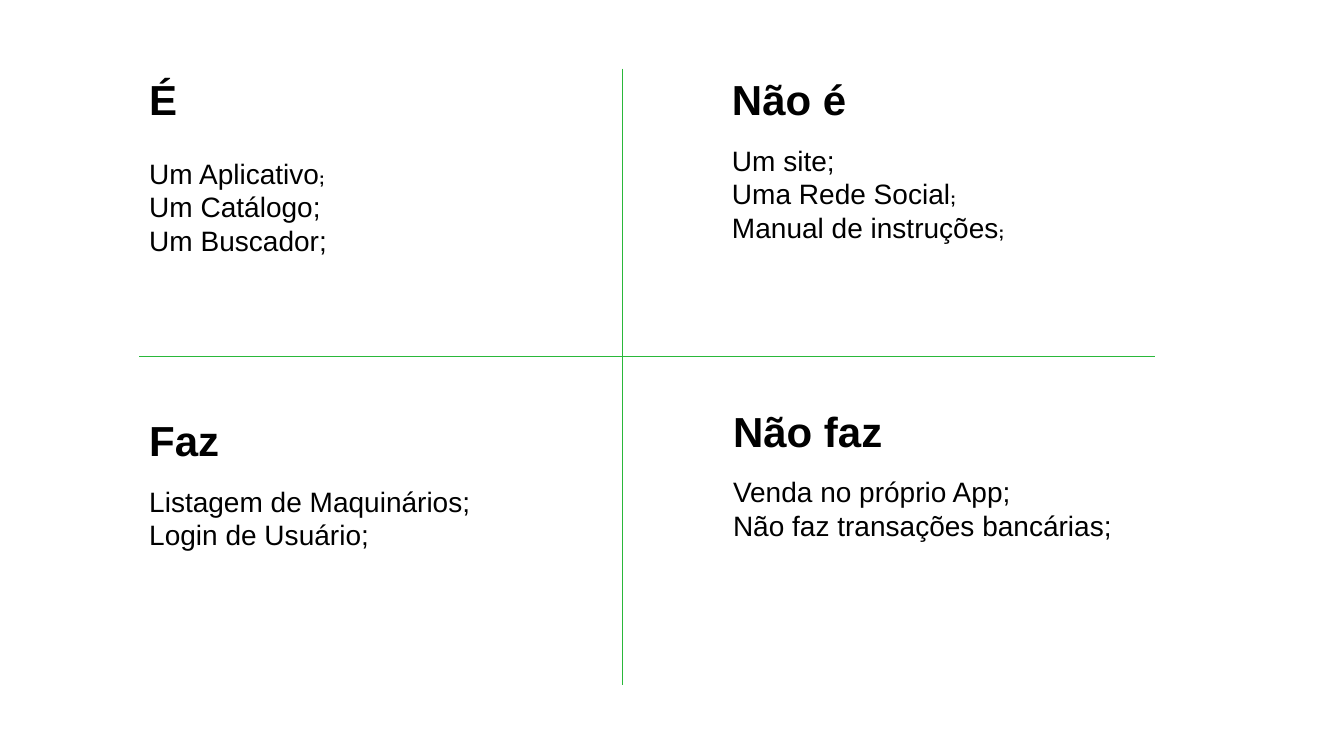
from dataclasses import dataclass

from pptx import Presentation, util as u
from pptx.dml.color import RGBColor
from pptx.enum import shapes, text
from pptx.oxml import xmlchemy

QUADRANTS = [
    {"heading": "É", "gap": 23, "left": 1.38, "top": 0.68,
     "items": [("Um Aplicativo", ";"), ("Um Catálogo;", ""), ("Um Buscador;", "")]},
    {"heading": "Não é", "gap": 13.8, "left": 7.16, "top": 0.68,
     "items": [("Um site;", ""), ("Uma Rede Social", ";"),
               ("Manual de instruções", ";")]},
    {"heading": "Faz", "gap": 13.8, "left": 1.38, "top": 4.06,
     "items": [("Listagem de Maquinários;", ""), ("Login de Usuário;", "")]},
    {"heading": "Não faz", "gap": 13.8, "left": 7.17, "top": 3.97,
     "items": [("Venda no próprio App;", ""),
               ("Não faz transações bancárias;", "")]},
]
AXES = [(6.17, 0.68, 6.17, 6.8), (1.38, 3.54, 11.46, 3.54)]
QUADRANT_SIZE = (4.51, 2.42)


@dataclass(frozen=True)
class Theme:
    font: str = "Arial"
    ink: RGBColor = RGBColor(0, 0, 0)
    axis: RGBColor = RGBColor(0x2A, 0xB8, 0x3A)
    axis_width: float = 0.5
    heading: int = 30
    item: int = 20
    mark: int = 12


THEME = Theme()


def format_line(line, size, bold, gap):
    line.alignment = text.PP_ALIGN.LEFT
    line.line_spacing = 1.0
    line.space_before = u.Pt(gap)
    line.space_after = u.Pt(0)
    properties = line._p.get_or_add_pPr()
    properties.set("marL", "0")
    properties.set("indent", "0")
    properties.append(xmlchemy.OxmlElement("a:buNone"))
    line.font.name = THEME.font
    line.font.size = u.Pt(size)
    line.font.bold = bold
    line.font.color.rgb = THEME.ink


def draw_axis(slide, ends):
    axis = slide.shapes.add_connector(
        shapes.MSO_CONNECTOR.STRAIGHT, *map(u.Inches, ends))
    axis.line.color.rgb = THEME.axis
    axis.line.width = u.Pt(THEME.axis_width)
    axis._element.spPr.append(xmlchemy.OxmlElement("a:effectLst"))


def fill_quadrant(body, quadrant):
    body.left, body.top = u.Inches(quadrant["left"]), u.Inches(quadrant["top"])
    body.width, body.height = map(u.Inches, QUADRANT_SIZE)
    frame = body.text_frame
    frame.word_wrap = True
    frame.auto_size = text.MSO_AUTO_SIZE.NONE
    frame.vertical_anchor = text.MSO_ANCHOR.TOP
    heading = frame.paragraphs[0]
    heading.add_run().text = quadrant["heading"]
    format_line(heading, THEME.heading, True, 0)
    for index, (wording, mark) in enumerate(quadrant["items"]):
        item = frame.add_paragraph()
        item.add_run().text = wording
        format_line(item, THEME.item, False, 0 if index else quadrant["gap"])
        if mark:
            ending = item.add_run()
            ending.text = mark
            ending.font.size = u.Pt(THEME.mark)
            ending.font.bold = True


def main():
    deck = Presentation()
    deck.slide_width, deck.slide_height = u.Inches(13.33), u.Inches(7.5)
    slide = deck.slides.add_slide(deck.slide_layouts.get_by_name("Comparison"))
    title, *bodies = slide.placeholders
    title._element.getparent().remove(title._element)
    for ends in AXES:
        draw_axis(slide, ends)
    for body, quadrant in zip(bodies, QUADRANTS):
        fill_quadrant(body, quadrant)
    deck.save("out.pptx")


if __name__ == "__main__":
    main()
